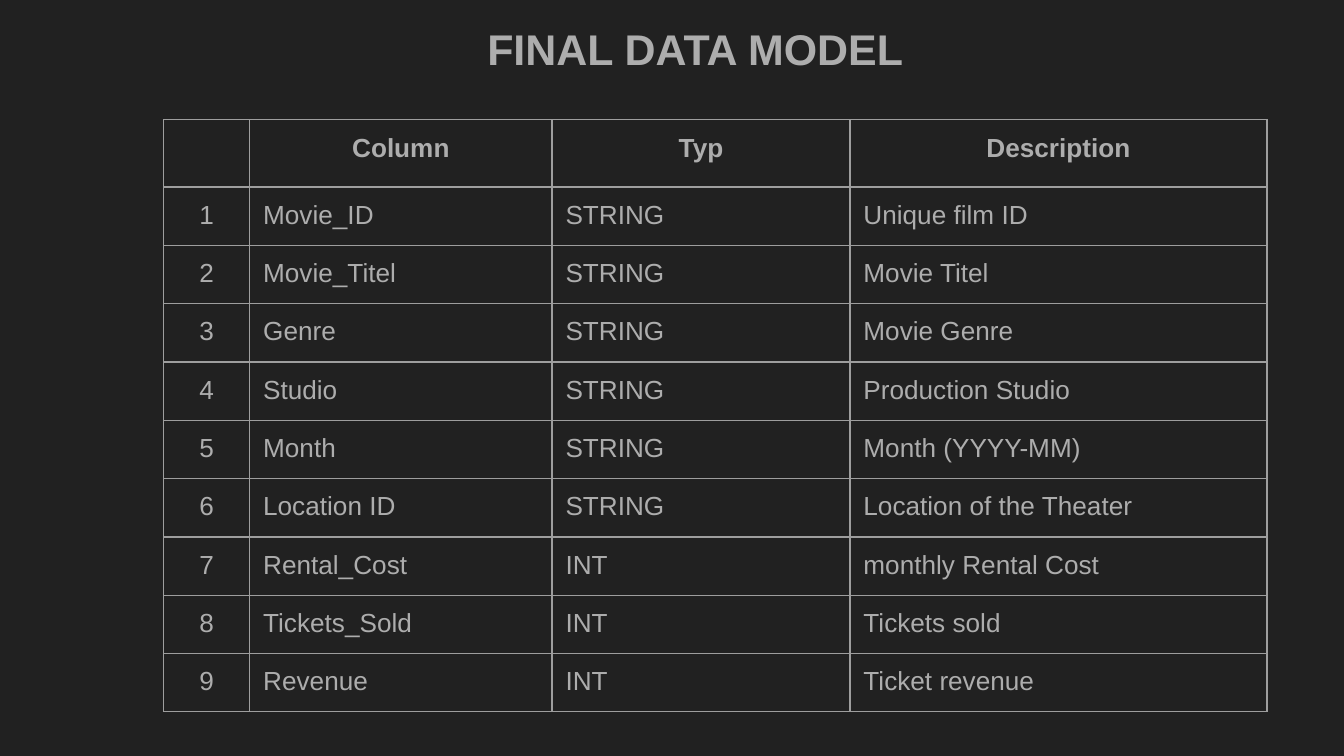
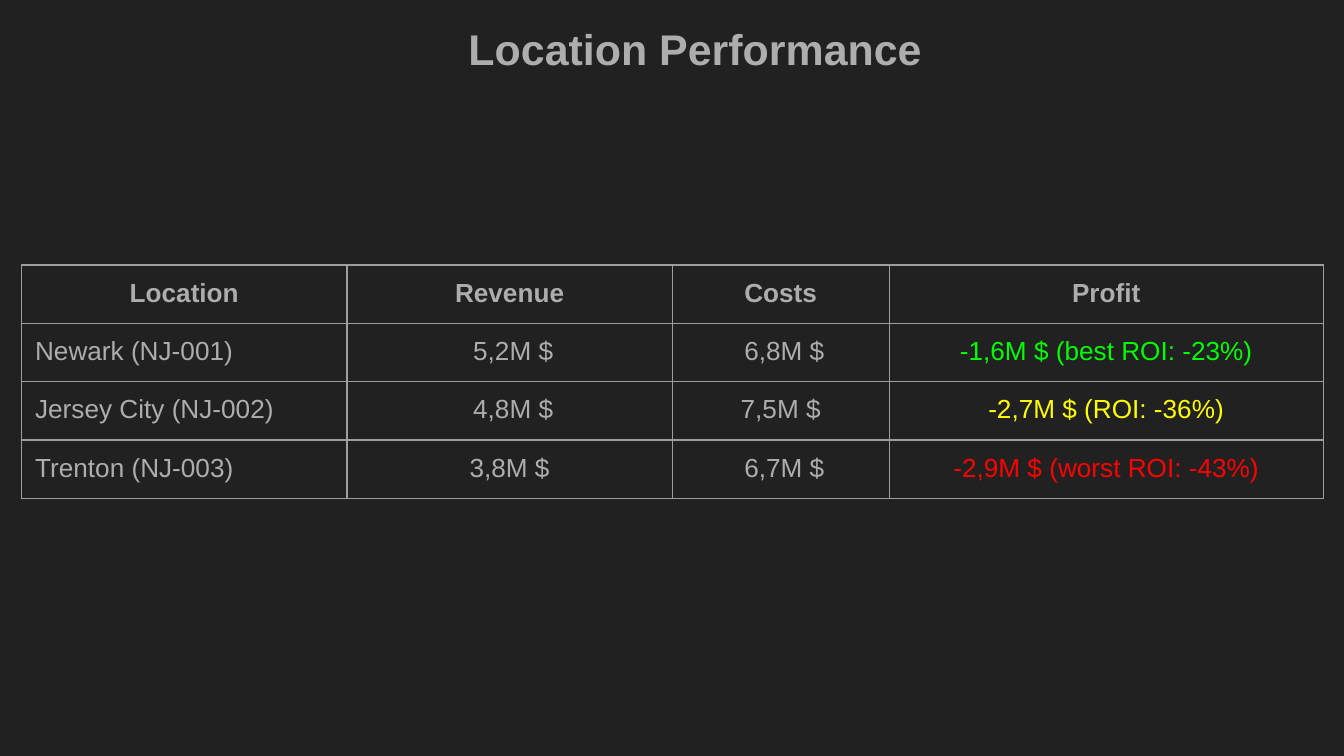
"""Builds two dark slides, each with a centred title and an outlined table."""
from lxml import etree
from pptx import Presentation
from pptx.dml.color import RGBColor
from pptx.enum import text
from pptx.oxml import ns
from pptx.util import Pt

BACKGROUND = RGBColor(0x21, 0x21, 0x21)
INK = RGBColor(0xAD, 0xAD, 0xAD)
BORDER = RGBColor(0x9E, 0x9E, 0x9E)
BEST = RGBColor(0x00, 0xFF, 0x00)
MIDDLING = RGBColor(0xFF, 0xFF, 0x00)
WORST = RGBColor(0xFF, 0x00, 0x00)
FONT = "Arial"
INSET = 7.2
ROW_HEIGHT = 31.1

FIELDS = [
    ("Movie_ID", "STRING", "Unique film ID"),
    ("Movie_Titel", "STRING", "Movie Titel"),
    ("Genre", "STRING", "Movie Genre"),
    ("Studio", "STRING", "Production Studio"),
    ("Month", "STRING", "Month (YYYY-MM)"),
    ("Location ID", "STRING", "Location of the Theater"),
    ("Rental_Cost", "INT", "monthly Rental Cost"),
    ("Tickets_Sold", "INT", "Tickets sold"),
    ("Revenue", "INT", "Ticket revenue"),
]

SLIDES = [
    {
        "title": "FINAL DATA MODEL",
        "origin": (87.6, 64.2),
        "widths": (46.2, 162, 159.6, 223.4),
        "header_height": 36,
        "centred": {0},
        "header": ("", "Column", "Typ", "Description"),
        "rows": [(str(number), *field) for number, field in enumerate(FIELDS, 1)],
        "last_colours": [INK] * len(FIELDS),
    },
    {
        "title": "Location Performance",
        "origin": (11.6, 142),
        "widths": (174.3, 174.3, 116.2, 232.6),
        "header_height": ROW_HEIGHT,
        "centred": {1, 2, 3},
        "header": ("Location", "Revenue", "Costs", "Profit"),
        "rows": [
            ("Newark (NJ-001)", " 5,2M $", " 6,8M $", "-1,6M $ (best ROI: -23%)"),
            ("Jersey City (NJ-002)", " 4,8M $", "7,5M $", "-2,7M $ (ROI: -36%)"),
            ("Trenton (NJ-003)", "3,8M $", " 6,7M $", "-2,9M $ (worst ROI: -43%)"),
        ],
        "last_colours": [BEST, MIDDLING, WORST],
    },
]


def write(frame, words, size, colour, bold, centred):
    frame.margin_left = frame.margin_right = Pt(INSET)
    frame.margin_top = frame.margin_bottom = Pt(INSET)
    paragraph = frame.paragraphs[0]
    paragraph.text = words
    paragraph.alignment = text.PP_ALIGN.CENTER if centred else text.PP_ALIGN.LEFT
    for run in paragraph.runs:
        run.font.name = FONT
        run.font.size = Pt(size)
        run.font.bold = bold
        run.font.color.rgb = colour


def outline(cell):
    properties = cell._tc.get_or_add_tcPr()
    for place, side in enumerate(("lnL", "lnR", "lnT", "lnB")):
        line = etree.Element(ns.qn(f"a:{side}"), w=str(Pt(0.75)))
        fill = etree.SubElement(line, ns.qn("a:solidFill"))
        etree.SubElement(fill, ns.qn("a:srgbClr"), val=str(BORDER))
        properties.insert(place, line)


def add_title(slide, words):
    title = slide.shapes.title
    title.left, title.top, title.width, title.height = Pt(126.7), Pt(5), Pt(491.8), Pt(42.5)
    frame = title.text_frame
    frame.word_wrap = True
    frame.vertical_anchor = text.MSO_ANCHOR.TOP
    frame.auto_size = text.MSO_AUTO_SIZE.SHAPE_TO_FIT_TEXT
    write(frame, words, 23, INK, True, True)


def add_grid(slide, content):
    lines = [content["header"], *content["rows"]]
    widths = content["widths"]
    heights = [content["header_height"]] + [ROW_HEIGHT] * len(content["rows"])
    left, top = content["origin"]
    grid = slide.shapes.add_table(
        len(lines), len(widths), Pt(left), Pt(top), Pt(sum(widths)), Pt(sum(heights))
    ).table
    grid.first_row = grid.horz_banding = False
    for column, width in zip(grid.columns, widths):
        column.width = Pt(width)
    for row, height in zip(grid.rows, heights):
        row.height = Pt(height)
    last_colours = [INK, *content["last_colours"]]
    for r, line in enumerate(lines):
        for c, words in enumerate(line):
            cell = grid.cell(r, c)
            is_header = r == 0
            colour = last_colours[r] if c == len(widths) - 1 else INK
            cell.fill.background()
            outline(cell)
            cell.margin_left = cell.margin_right = Pt(INSET)
            cell.margin_top = cell.margin_bottom = Pt(INSET)
            write(cell.text_frame, words, 14, colour, is_header,
                  is_header or c in content["centred"])


def main():
    deck = Presentation()
    deck.slide_width, deck.slide_height = Pt(720), Pt(405)
    backdrop = deck.slide_master.background.fill
    backdrop.solid()
    backdrop.fore_color.rgb = BACKGROUND
    for content in SLIDES:
        slide = deck.slides.add_slide(deck.slide_layouts[5])
        add_title(slide, content["title"])
        add_grid(slide, content)
    deck.save("out.pptx")


if __name__ == "__main__":
    main()
